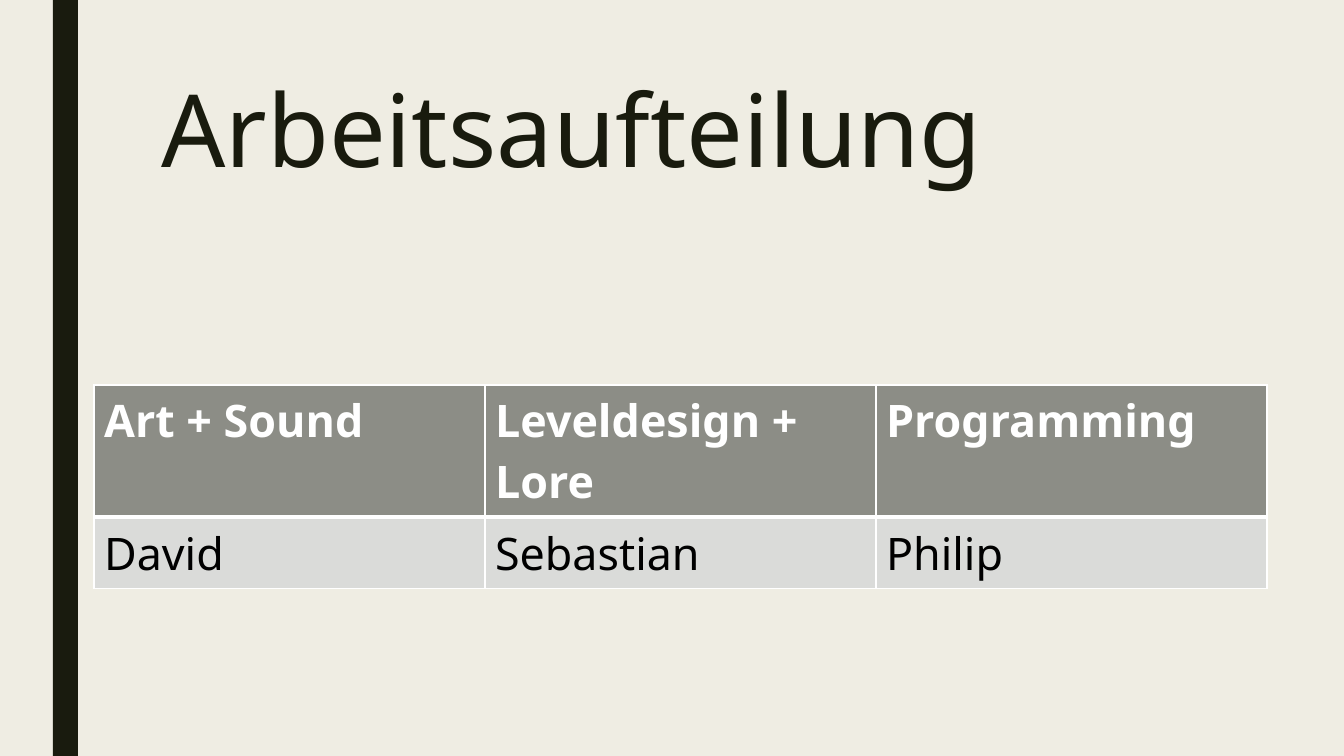
from dataclasses import dataclass

from lxml import etree
from pptx import Presentation
from pptx import util as u
from pptx.dml.color import RGBColor
from pptx.enum import shapes, text
from pptx.oxml.ns import qn

EMU_PER_PX = 914400 / 100.8


@dataclass(frozen=True)
class Theme:
    font: str = "Noto Sans"
    paper: str = "EFEDE3"
    ink: str = "191B0E"
    header_fill: str = "8C8D86"
    body_fill: str = "DADBD9"
    header_text: str = "FFFFFF"
    body_text: str = "000000"
    rule: str = "FFFFFF"
    title_size: int = 72
    table_size: int = 32


THEME = Theme()
ROLES = [
    ["Art + Sound", "Leveldesign + Lore", "Programming"],
    ["David", "Sebastian", "Philip"],
]


def px(length):
    return u.Emu(round(length * EMU_PER_PX))


def paint(fill, color):
    fill.solid()
    fill.fore_color.rgb = RGBColor.from_string(color)


def style(paragraph, size, color, bold=False):
    font = paragraph.font
    font.name, font.size, font.bold = THEME.font, u.Pt(size), bold
    font.color.rgb = RGBColor.from_string(color)


def add_side_bar(slide, left, top, width, height):
    bar = slide.shapes.add_shape(
        shapes.MSO_SHAPE.RECTANGLE, px(left), px(top), px(width), px(height))
    bar.shadow.inherit = False
    paint(bar.fill, THEME.ink)
    bar.line.fill.background()


def set_title(slide, words, left, top, width, height):
    title = slide.shapes.title
    title.left, title.top = px(left), px(top)
    title.width, title.height = px(width), px(height)
    frame = title.text_frame
    frame.text = words
    frame.word_wrap = True
    frame.auto_size = text.MSO_AUTO_SIZE.NONE
    frame.vertical_anchor = text.MSO_ANCHOR.TOP
    heading = frame.paragraphs[0]
    heading.alignment = text.PP_ALIGN.LEFT
    heading.line_spacing = 0.89
    style(heading, THEME.title_size, THEME.ink)


def set_borders(cell, **points):
    """Give the cell's sides (L, R, T, B) their line widths in points."""
    properties = cell._tc.get_or_add_tcPr()
    for position, (side, width) in enumerate(points.items()):
        line = etree.Element(qn(f"a:ln{side}"), w=str(u.Pt(width)))
        solid = etree.SubElement(line, qn("a:solidFill"))
        etree.SubElement(solid, qn("a:srgbClr"), val=THEME.rule)
        properties.insert(position, line)


def add_roles_table(slide, rows, left, top, column_width, row_height):
    columns = len(rows[0])
    table = slide.shapes.add_table(
        len(rows), columns, px(left), px(top),
        px(column_width * columns), px(row_height * len(rows))).table
    for column in table.columns:
        column.width = px(column_width)
    for r, row in enumerate(rows):
        header = r == 0
        for c, words in enumerate(row):
            cell = table.cell(r, c)
            cell.text = words
            paint(cell.fill, THEME.header_fill if header else THEME.body_fill)
            style(cell.text_frame.paragraphs[0], THEME.table_size,
                  THEME.header_text if header else THEME.body_text, header)
            # The rule between header and body is heavier
            set_borders(cell, L=1, R=1, T=1 if header else 3, B=3 if header else 1)


def main():
    deck = Presentation()
    deck.slide_width, deck.slide_height = px(1344), px(756)
    slide = deck.slides.add_slide(deck.slide_layouts[5])

    # Background and side bar
    paint(slide.background.fill, THEME.paper)
    add_side_bar(slide, 53, 0, 25, 756)

    # Title and division of work
    set_title(slide, "Arbeitsaufteilung", 151, 76, 1058, 163)
    add_roles_table(slide, ROLES, 94, 385, 391, 41)

    deck.save("out.pptx")


main()
